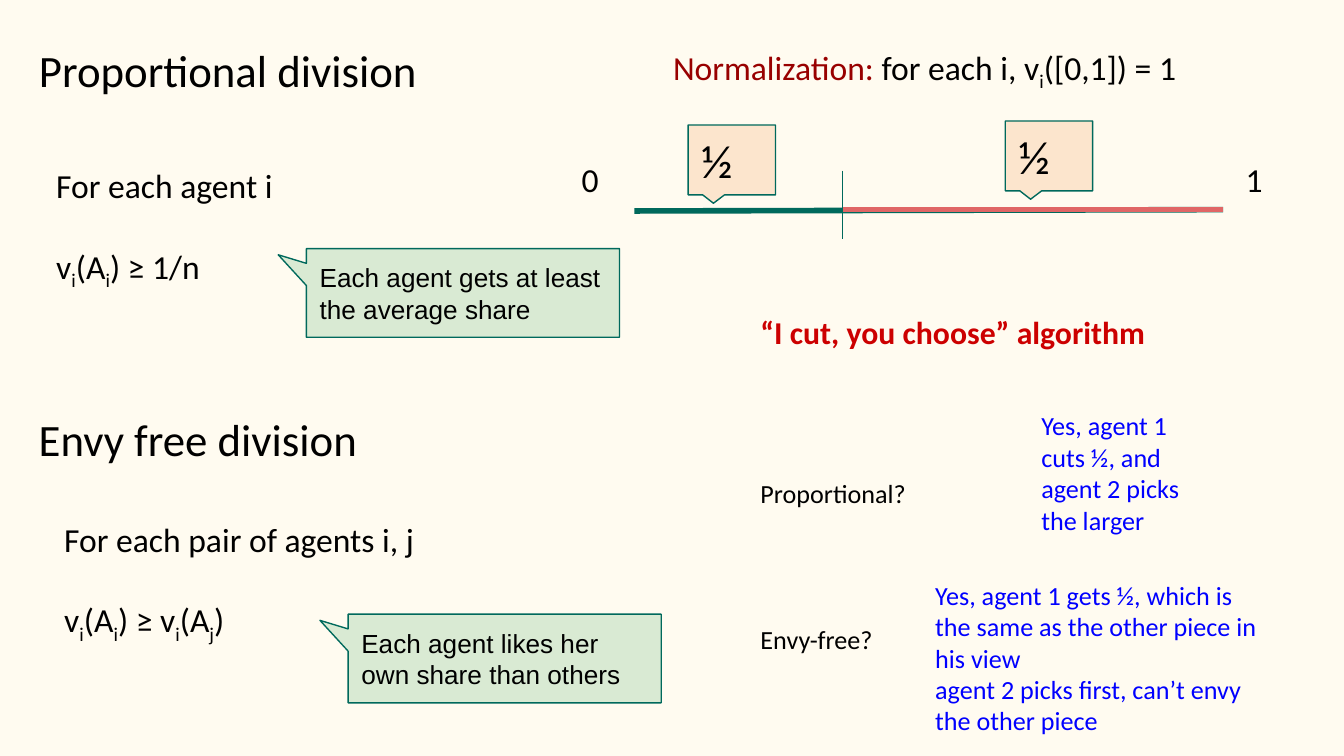
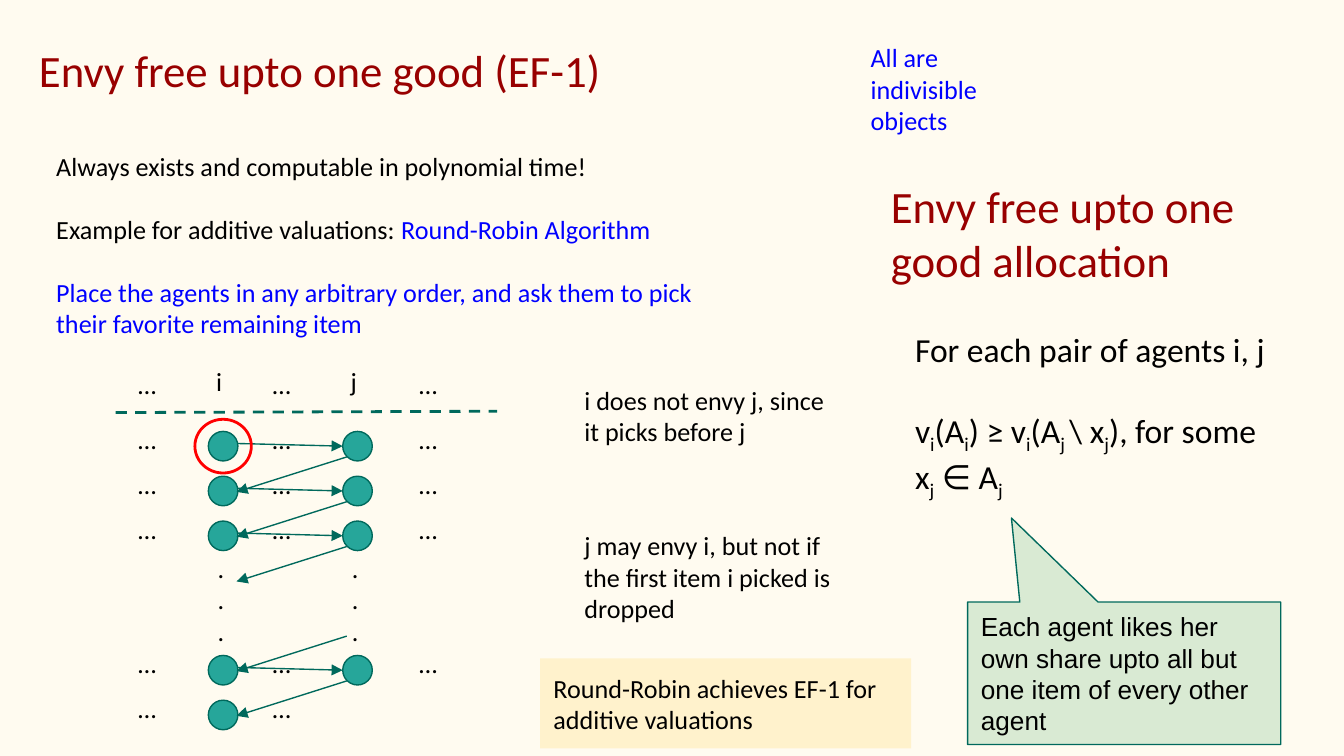
from lxml import etree
from pptx import Presentation
from pptx.dml.color import RGBColor
from pptx.enum import dml, shapes, text
from pptx.oxml import ns
from pptx.util import Inches, Pt

COLORS = {
    "page": "FFFBF0", "black": "000000", "crimson": "980000", "red": "CC0000",
    "blue": "0000FF", "teal": "00695C", "dot": "26A69A", "rose": "E06666",
    "mint": "D9EAD3", "peach": "FCE5CD", "cream": "FFF2CC", "ring": "FF0000",
}
CALLOUT = shapes.MSO_SHAPE.RECTANGULAR_CALLOUT
OVAL = shapes.MSO_SHAPE.OVAL
PITCH = 1 / 3


def rgb(name):
    return RGBColor.from_string(COLORS[name])


def add_runs(p, content, baseline=None, **fmt):
    if not content:
        return
    r = p.add_run()
    r.text = content
    r.font.name = fmt["font"]
    r.font.size = Pt(fmt["size"])
    r.font.bold = fmt["bold"]
    r.font.color.rgb = rgb(fmt["color"])
    if baseline:
        r._r.get_or_add_rPr().set("baseline", str(baseline))


def write(sp, content, size=14, color="black", font="Calibri", bold=False,
          align="LEFT", anchor="TOP", gaps=()):
    tf = sp.text_frame
    tf.word_wrap = True
    tf.auto_size = text.MSO_AUTO_SIZE.NONE
    tf.vertical_anchor = getattr(text.MSO_ANCHOR, anchor)
    tf.margin_left = tf.margin_right = tf.margin_top = tf.margin_bottom = Inches(0.1)
    paragraphs = [content] if isinstance(content, str) else content
    for i, paragraph in enumerate(paragraphs):
        p = tf.paragraphs[0] if i == 0 else tf.add_paragraph()
        p.alignment = getattr(text.PP_ALIGN, align)
        if i in gaps:
            p.space_before = Pt(size * 1.2)
        pieces = [(paragraph, color)] if isinstance(paragraph, str) else paragraph
        for piece, hue in pieces:
            fmt = dict(size=size, color=hue, font=font, bold=bold)
            first, *lowered = piece.split("_")
            add_runs(p, first, **fmt)
            for part in lowered:
                add_runs(p, part[0], baseline=-25000, **fmt)
                add_runs(p, part[1:], **fmt)
    return sp


def add_text(s, x, y, w, h, content, **fmt):
    sp = s.shapes.add_textbox(Inches(x), Inches(y), Inches(w), Inches(h))
    return write(sp, content, **fmt)


def add_shape(s, kind, x, y, w, h, fill=None, line="teal", width=0.75):
    sp = s.shapes.add_shape(kind, Inches(x), Inches(y), Inches(w), Inches(h))
    sp.shadow.inherit = False
    if fill:
        sp.fill.solid()
        sp.fill.fore_color.rgb = rgb(fill)
    else:
        sp.fill.background()
    if line:
        sp.line.color.rgb = rgb(line)
        sp.line.width = Pt(width)
    else:
        sp.line.fill.background()
    return sp


def add_callout(s, x, y, w, h, tip, content, fill="mint", **fmt):
    sp = add_shape(s, CALLOUT, x, y, w, h, fill)
    for i, value in enumerate(tip):
        sp.adjustments[i] = value
    return write(sp, content, anchor="MIDDLE", **fmt)


def add_line(s, x1, y1, x2, y2, color="teal", width=0.75, dash=False, arrow=False):
    ln = s.shapes.add_connector(shapes.MSO_CONNECTOR.STRAIGHT,
                                Inches(x1), Inches(y1), Inches(x2), Inches(y2))
    ln.line.color.rgb = rgb(color)
    ln.line.width = Pt(width)
    if dash:
        ln.line.dash_style = dml.MSO_LINE.DASH
    if arrow:
        etree.SubElement(ln.line._get_or_add_ln(), ns.qn("a:tailEnd"), type="triangle")
    etree.SubElement(ln._element.spPr, ns.qn("a:effectLst"))


def new_slide(prs, title, width, color="black"):
    s = prs.slides.add_slide(prs.slide_layouts[5])
    sp = s.shapes.title
    sp.left, sp.top = Inches(0.19), Inches(0.21)
    sp.width, sp.height = Inches(width), Inches(0.61)
    write(sp, title, size=24, color=color, anchor="BOTTOM")
    return s


def heading(s, x, y, h, content, color="black"):
    add_text(s, x, y, 3.07, h, content, size=24, color=color, anchor="BOTTOM")


def definition(s, x, y, w, h, lines, note, note_at, note_h=0.66, tip=(-0.59, -0.43)):
    add_text(s, x, y, w, h, lines, size=18, gaps=(1,))
    dx, dy = note_at
    add_callout(s, x + dx, y + dy, 2.33, note_h, tip, note, font="Arial")


def cake(s, x, y):
    cut, end, level = x + 2.06, x + 4.89, y + 1.31
    add_text(s, x, y, 5.34, 0.5,
             [[("Normalization:", "crimson"), (" for each i, v_i([0,1]) = 1", "black")]],
             size=18, align="CENTER")
    for label, dx, w in (("0", 0.02, 0.65), ("1", 4.96, 0.59)):
        add_text(s, x + dx, y + 0.83, w, 0.5, label, size=18)
    add_line(s, x + 0.51, level + 0.01, end, level, width=3)
    add_line(s, cut, y + 1.02, cut, y + 1.53)
    for dx, dy in ((0.91, 0.68), (3.27, 0.65)):
        add_callout(s, x + dx, y + dy, 0.65, 0.52, (-0.21, 0.62), "½",
                    fill="peach", size=25)
    add_line(s, cut, level, end, level, color="rose", width=3)


def cut_and_choose(s, x, y):
    add_text(s, x, y, 3.53, 0.49, "“I cut, you choose” algorithm",
             size=17, color="red", bold=True)
    for dy, question in ((1.22, "Proportional?"), (2.31, "Envy-free?")):
        add_text(s, x, y + dy, 2.4, 0.44, question)
    add_text(s, x + 2.09, y + 0.72, 1.44, 1.14,
             "Yes, agent 1 cuts ½, and agent 2 picks the larger", color="blue")
    add_text(s, x + 1.3, y + 1.98, 2.61, 1.38,
             ["Yes, agent 1 gets ½, which is the same as the other piece in his view",
              "agent 2 picks first, can’t envy the other piece"], color="blue")


def round_robin(s, x, y):
    i_x, j_x, first = x + 0.69, x + 1.69, y + 0.59
    ellipses = (0.07, 1.07, 2.16)

    def row(n):
        return first + n * PITCH

    for label, dx in (("i", 0.65), ("j", 1.65)):
        add_text(s, x + dx, y, 0.51, 0.44, label)
        add_text(s, x + dx + 0.01, y + 1.39, 0.28, 0.91, ["."] * 3)
    for dx in ellipses:
        add_text(s, x + dx, y + 0.02, 0.51, 0.44, "…")
    add_line(s, x, y + 0.45, x + 2.84, y + 0.44, width=1.5, dash=True)
    for n in (0, 1, 2, 5, 6):
        last = n == 6
        for left in (i_x,) if last else (i_x, j_x):
            add_shape(s, OVAL, left, row(n), 0.22, 0.22, "dot")
        for dx in ellipses[:2] if last else ellipses:
            add_text(s, x + dx, row(n) - 0.16, 0.51, 0.44, "…")
    for n in (0, 1, 2, 5):
        add_line(s, i_x + 0.22, row(n) + 0.09, j_x, row(n) + 0.11, arrow=True)
    for n in (0, 1, 2, 4, 5):
        add_line(s, j_x + 0.03, row(n) + 0.19, i_x + 0.21, row(n) + 0.45, arrow=True)
    add_shape(s, OVAL, i_x - 0.1, first - 0.09, 0.42, 0.4, line="ring", width=1.5)


def envy_notes(s, x, y):
    add_text(s, x, y, 2.13, 0.67, "i does not envy j, since it picks before j")
    add_text(s, x, y + 1.08, 2.13, 0.91,
             "j may envy i, but not if the first item i picked is dropped")
    box = add_shape(s, shapes.MSO_SHAPE.RECTANGLE, x - 0.23, y + 2.14, 2.76, 0.67,
                    "cream", line=None)
    write(box, "Round-Robin achieves EF-1 for additive valuations")


def division_slide(prs):
    s = new_slide(prs, "Proportional division", 3.41)
    definition(s, 0.32, 1.13, 3.03, 1.11, ["For each agent i", "v_i(A_i) ≥ 1/n"],
               "Each agent gets at least the average share", (1.96, 0.72))
    heading(s, 0.19, 2.95, 0.61, "Envy free division")
    definition(s, 0.38, 3.76, 3.53, 1.11,
               ["For each pair of agents i, j", "v_i(A_i) ≥ v_i(A_j)"],
               "Each agent likes her own share than others", (2.21, 0.81))
    cake(s, 4.21, 0.25)
    cut_and_choose(s, 5.56, 2.23)


def ef1_slide(prs):
    s = new_slide(prs, "Envy free upto one good (EF-1)", 6.07, color="crimson")
    add_text(s, 6.38, 0.21, 1.44, 0.91, "All are indivisible objects", color="blue")
    add_text(s, 0.32, 1.02, 5.28, 1.62,
             ["Always exists and computable in polynomial time!",
              [("Example for additive valuations: ", "black"),
               ("Round-Robin Algorithm", "blue")],
              [("Place the agents in any arbitrary order, and ask them to pick "
                "their favorite remaining item", "blue")]], gaps=(1, 2))
    heading(s, 6.53, 1.22, 1.01, "Envy free upto one good allocation", color="crimson")
    definition(s, 6.71, 2.35, 3.29, 1.41,
               ["For each pair of agents i, j",
                "v_i(A_i) ≥ v_i(A_j_ \\ x_j), for some", "x_j ∈ A_j"],
               "Each agent likes her own share upto all but one item of every other agent",
               (0.49, 2.13), note_h=1.06, tip=(-0.36, -1.09))
    round_robin(s, 0.86, 2.62)
    envy_notes(s, 4.25, 2.76)


def main():
    prs = Presentation()
    prs.slide_width = Inches(10)
    prs.slide_height = prs.slide_width * 9 // 16
    fill = prs.slide_master.background.fill
    fill.solid()
    fill.fore_color.rgb = rgb("page")
    division_slide(prs)
    ef1_slide(prs)
    prs.save("out.pptx")


if __name__ == "__main__":
    main()
